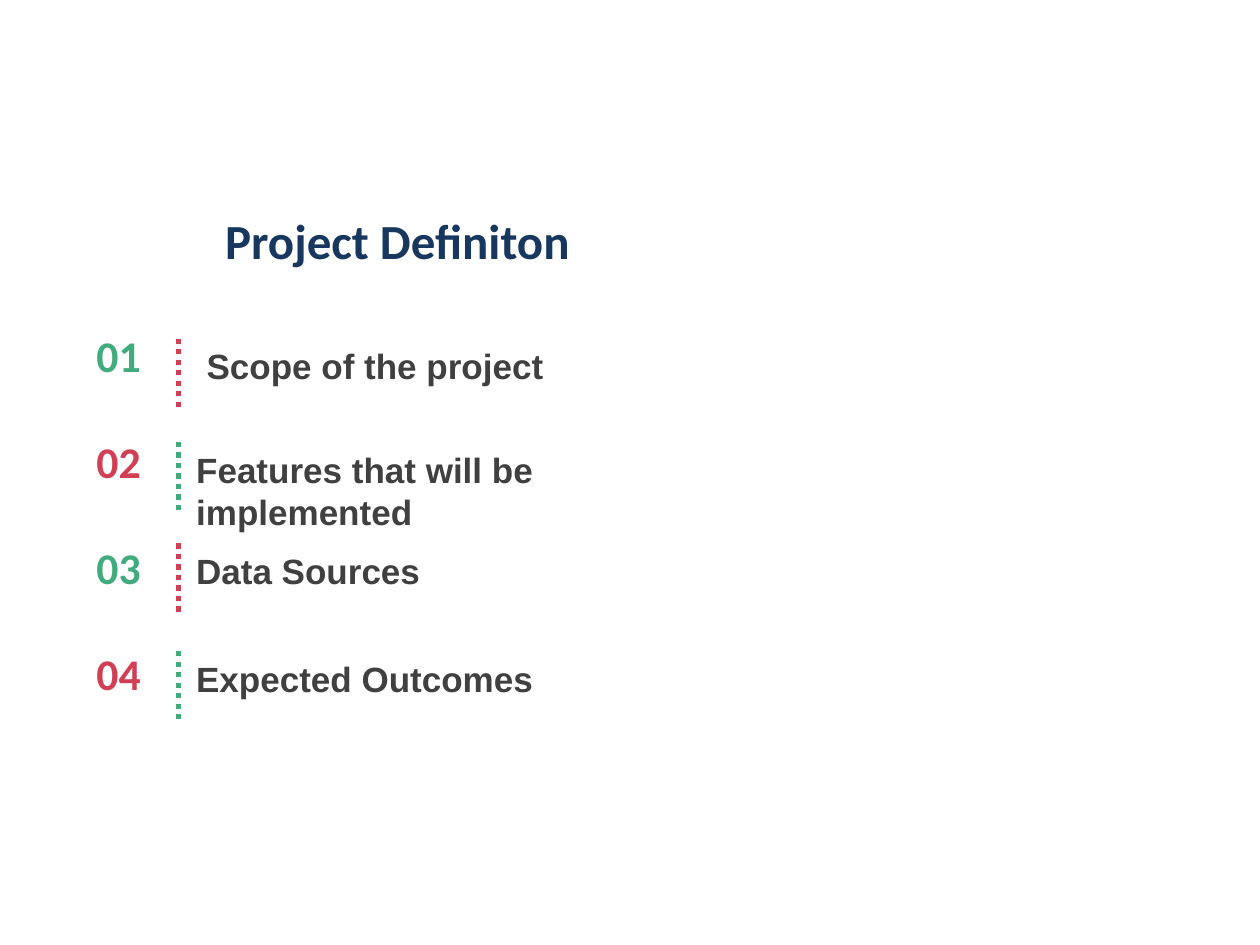
from dataclasses import dataclass
from typing import Any

from lxml.etree import SubElement
from pptx import Presentation
from pptx.dml.color import RGBColor
from pptx.enum.dml import MSO_LINE
from pptx.enum.shapes import MSO_CONNECTOR
from pptx.enum.text import MSO_ANCHOR, PP_ALIGN
from pptx.oxml.ns import qn
from pptx.util import Pt


def tint(code):
    return RGBColor.from_string(code)


@dataclass
class Deck:
    """Draw a numbered agenda on one slide in a shared style."""

    slide: Any
    head: str = "Calibri"
    body: str = "Arial"
    navy: str = "17375E"
    grey: str = "404040"
    green: str = "42AB7D"
    red: str = "D03F54"

    def style(self, shape, text, face, size, color):
        frame = shape.text_frame
        frame.text = text
        para = frame.paragraphs[0]
        para.alignment = PP_ALIGN.LEFT
        font = para.runs[0].font
        font.name, font.size, font.bold = face, Pt(size), True
        font.color.rgb = tint(color)

    def title(self, text, left, top, width, height):
        shape = self.slide.shapes.title
        shape.left, shape.top = Pt(left), Pt(top)
        shape.width, shape.height = Pt(width), Pt(height)
        self.style(shape, text, self.head, 28, self.navy)
        shape.text_frame.vertical_anchor = MSO_ANCHOR.TOP

    def label(self, group, text, box, face, size, color, wrap):
        shape = group.shapes.add_textbox(*map(Pt, box))
        self.style(shape, text, face, size, color)
        shape.text_frame.word_wrap = wrap

    def rule(self, group, left, top, height, color):
        line = group.shapes.add_connector(
            MSO_CONNECTOR.STRAIGHT, Pt(left), Pt(top), Pt(left), Pt(top + height))
        line.line.width = Pt(3)
        line.line.color.rgb = tint(color)
        line.line.dash_style = MSO_LINE.ROUND_DOT
        SubElement(line._element.spPr, qn("a:effectLst"))

    def item(self, index, text, left, top, width):
        group = self.slide.shapes.add_group_shape()
        pair = (self.green, self.red)
        color, other = pair[index % 2], pair[1 - index % 2]
        self.label(group, text, (left, top, width, 31.5),
                   self.body, 20, self.grey, True)
        self.label(group, f"{index + 1:02}", (48, 184.5 + 60.5 * index, 40, 37.5),
                   self.head, 25, color, False)
        self.rule(group, 102, top, 39.3, other)


show = Presentation()
show.slide_width, show.slide_height = Pt(720), Pt(540)
deck = Deck(show.slides.add_slide(show.slide_layouts[5]))
deck.title("Project Definiton", 121.5, 116.5, 284, 41)
items = [
    ("Scope of the project", 111, 193.5, 232.5),
    ("Features that will be implemented", 105, 252.5, 312),
    ("Data Sources", 105, 310.5, 232.5),
    ("Expected Outcomes", 105, 372, 232.5),
]
for index, item in enumerate(items):
    deck.item(index, *item)
show.save("out.pptx")
